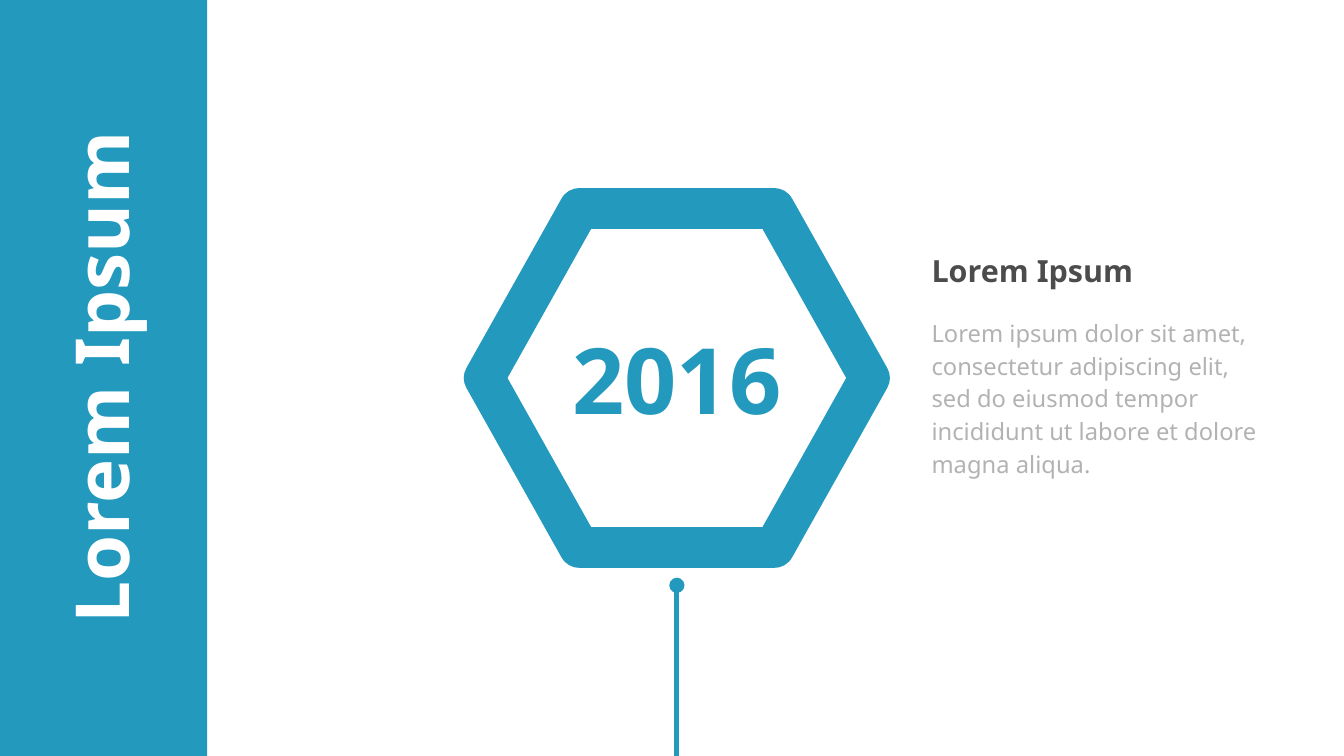
from dataclasses import dataclass

from lxml import etree
from pptx import Presentation
from pptx.dml.color import RGBColor
from pptx.enum.shapes import MSO_CONNECTOR, MSO_SHAPE
from pptx.enum.text import MSO_ANCHOR, PP_ALIGN
from pptx.oxml.ns import qn
from pptx.util import Emu, Inches, Pt

CENTER, LEFT = PP_ALIGN.CENTER, PP_ALIGN.LEFT
MIDDLE, TOP = MSO_ANCHOR.MIDDLE, MSO_ANCHOR.TOP
RECTANGLE, STRAIGHT = MSO_SHAPE.RECTANGLE, MSO_CONNECTOR.STRAIGHT

FONT = "Noto Sans"
COLORS = {
    "accent": "2499BE",
    "heading": "4C4C4C",
    "body": "000000",
    "white": "FFFFFF",
}

# The slide is a grid of square cells
CELL = Inches(0.1)
COLUMNS, ROWS = 110.2, 62
MIDDLE_ROW = ROWS / 2
SIDEBAR_COLUMNS = 17
YEAR_COLUMN = 55.5
DETAIL_COLUMN, DETAIL_COLUMNS = 75.4, 30


@dataclass(frozen=True)
class Label:
    text: str
    column: float
    row: float
    columns: float
    rows: float
    size: float
    color: str
    bold: bool = True
    align: PP_ALIGN = LEFT
    anchor: MSO_ANCHOR = MIDDLE
    insets: tuple[float, float] = (1, 0.5)
    line_spacing: float = 1.0
    rotation: float = 0
    opacity: int = 100


LABELS = [
    Label("Lorem Ipsum", DETAIL_COLUMN, 19.7, DETAIL_COLUMNS, 5, 18, "heading"),
    Label(
        "Lorem ipsum dolor sit amet, consectetur adipiscing elit, sed do "
        "eiusmod tempor incididunt ut labore et dolore magna aliqua.",
        DETAIL_COLUMN, 25.3, DETAIL_COLUMNS, 17, 14, "body", bold=False,
        anchor=TOP, line_spacing=1.15, opacity=30,
    ),
    Label(
        "Lorem Ipsum", -22.8, 25.8, ROWS, 10.3, 44, "white",
        align=CENTER, insets=(0, 0), rotation=270,
    ),
]


def cells(count: float) -> Emu:
    return Emu(round(count * CELL))


def rgb(name: str) -> RGBColor:
    return RGBColor.from_string(COLORS[name])


def write(frame, text: str, size: float, color: str, bold: bool,
          align: PP_ALIGN, anchor: MSO_ANCHOR, insets: tuple[float, float]):
    """Fill a text frame with one paragraph and return that paragraph."""
    frame.vertical_anchor = anchor
    frame.margin_left = frame.margin_right = cells(insets[0])
    frame.margin_top = frame.margin_bottom = cells(insets[1])
    paragraph = frame.paragraphs[0]
    paragraph.text = text
    paragraph.alignment = align
    font = paragraph.font
    font.name, font.size, font.bold = FONT, Pt(size), bold
    font.color.rgb = rgb(color)
    return paragraph


def add_label(shapes, label: Label) -> None:
    box = shapes.add_textbox(cells(label.column), cells(label.row),
                             cells(label.columns), cells(label.rows))
    box.rotation = label.rotation
    box.text_frame.word_wrap = True
    paragraph = write(box.text_frame, label.text, label.size, label.color,
                      label.bold, label.align, label.anchor, label.insets)
    paragraph.line_spacing = label.line_spacing
    if label.opacity < 100:
        for color in paragraph.font.fill._xPr.iter(qn("a:srgbClr")):
            etree.SubElement(color, qn("a:alpha"), val=str(label.opacity * 1000))


def add_sidebar(shapes) -> None:
    sidebar = shapes.add_shape(RECTANGLE, 0, 0, cells(SIDEBAR_COLUMNS), cells(ROWS))
    sidebar.shadow.inherit = False
    sidebar.fill.solid()
    sidebar.fill.fore_color.rgb = rgb("accent")
    sidebar.line.fill.background()


def add_year_hexagon(shapes, year: str) -> None:
    half_width, half_side, half_height = 15.8, 8, 13.9
    offsets = [
        (-half_side, -half_height), (half_side, -half_height), (half_width, 0),
        (half_side, half_height), (-half_side, half_height), (-half_width, 0),
    ]
    corners = [(cells(YEAR_COLUMN + x), cells(MIDDLE_ROW + y)) for x, y in offsets]
    builder = shapes.build_freeform(*corners[0])
    builder.add_line_segments(corners[1:], close=True)
    hexagon = builder.convert_to_shape()
    hexagon.shadow.inherit = False
    hexagon.fill.background()
    hexagon.line.color.rgb = rgb("accent")
    hexagon.line.width = Pt(24)
    etree.SubElement(hexagon.line._get_or_add_ln(), qn("a:round"))
    hexagon.text_frame.word_wrap = False
    write(hexagon.text_frame, year, 54, "accent", True, CENTER, MIDDLE, (2.7, 2.2))


def add_timeline_stem(shapes) -> None:
    stem = shapes.add_connector(STRAIGHT, cells(YEAR_COLUMN), cells(48),
                                cells(YEAR_COLUMN), cells(ROWS))
    stem.line.color.rgb = rgb("accent")
    stem.line.width = Pt(3)
    etree.SubElement(stem.line._get_or_add_ln(), qn("a:headEnd"), type="oval")
    etree.SubElement(stem._element.spPr, qn("a:effectLst"))


def main() -> None:
    presentation = Presentation()
    presentation.slide_width = cells(COLUMNS)
    presentation.slide_height = cells(ROWS)
    slide = presentation.slides.add_slide(presentation.slide_layouts[6])
    slide.background.fill.solid()
    slide.background.fill.fore_color.rgb = rgb("white")

    add_sidebar(slide.shapes)
    add_year_hexagon(slide.shapes, "2016")
    add_timeline_stem(slide.shapes)
    for label in LABELS:
        add_label(slide.shapes, label)
    presentation.save("out.pptx")


if __name__ == "__main__":
    main()
